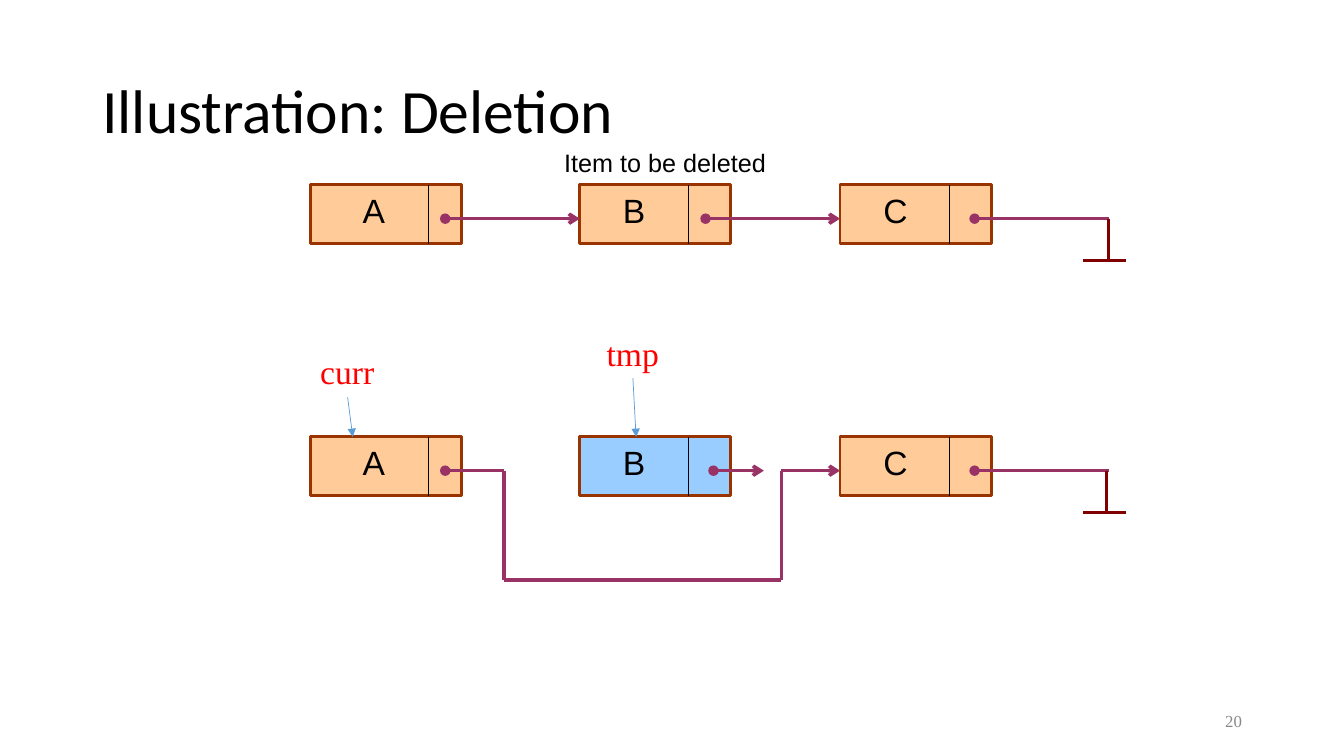
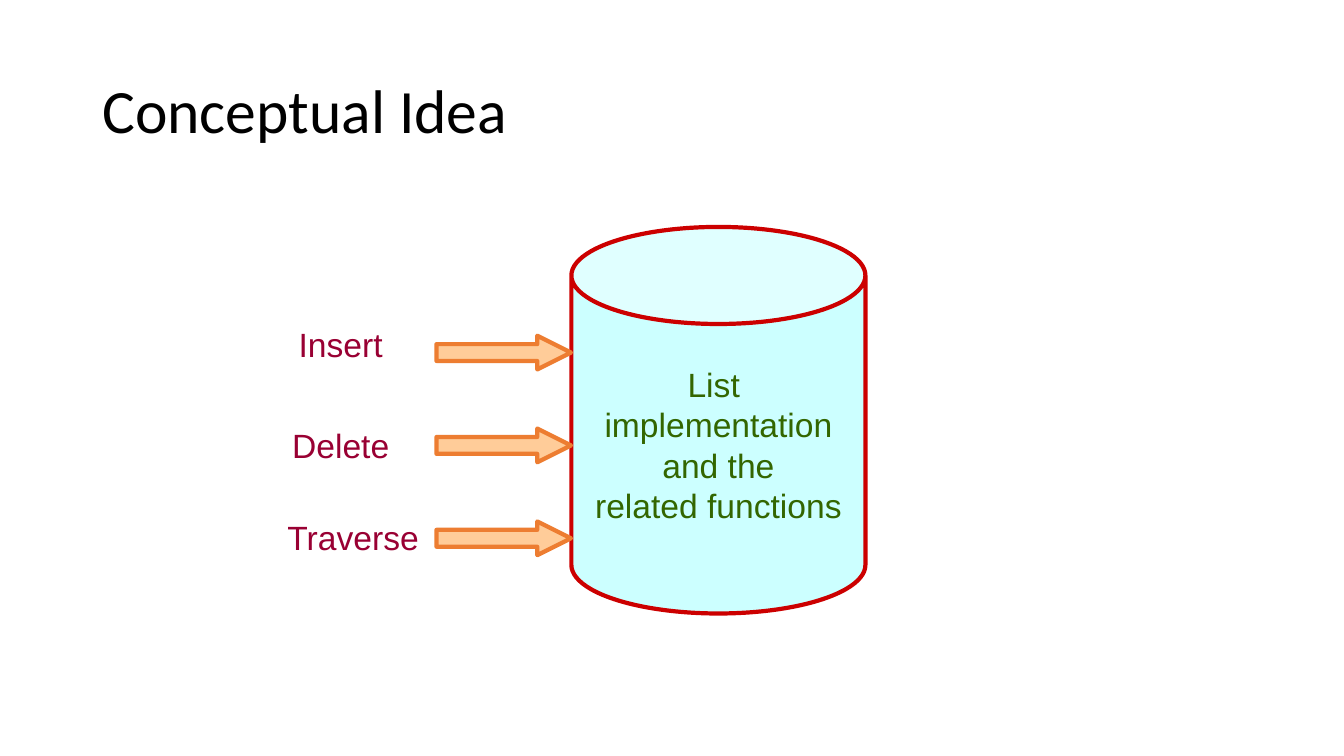
from dataclasses import dataclass
from itertools import pairwise

from pptx import Presentation
from pptx.dml.color import RGBColor
from pptx.enum.shapes import MSO_CONNECTOR, MSO_SHAPE
from pptx.enum.text import MSO_ANCHOR, PP_ALIGN
from pptx.oxml.ns import qn
from pptx.util import Cm, Pt
from lxml.etree import SubElement


@dataclass(frozen=True)
class Theme:
    """Text styles are (font, points, colour); line styles are (colour, points)."""
    title: tuple = ("Calibri", 44, "000000")
    number: tuple = ("Times New Roman", 12, "898989")
    item: tuple = ("Arial", 24, "000000")
    caption: tuple = ("Arial", 18, "000000")
    pointer_name: tuple = ("Times New Roman", 24, "FF0000")
    operation: tuple = ("Arial", 24, "990033")
    store: tuple = ("Arial", 24, "336600")
    orange: str = "FFCC99"
    blue: str = "99CCFF"
    cyan: str = "CCFFFF"
    node_line: tuple = ("993300", 2)
    divider_line: tuple = ("000000", 0.75)
    link_line: tuple = ("993366", 2.5)
    ground_line: tuple = ("800000", 2.5)
    pointer_line: tuple = ("5B9BD5", 0.5)
    store_line: tuple = ("CC0000", 3)
    arrow_line: tuple = ("ED7D31", 3)


theme = Theme()


def write_text(shape, lines, style, align=PP_ALIGN.LEFT, anchor=MSO_ANCHOR.TOP, wrap=True):
    """Fill a shape with one paragraph per line and return its text frame."""
    font_name, points, colour = style
    frame = shape.text_frame
    frame.word_wrap = wrap
    frame.vertical_anchor = anchor
    for index, line in enumerate(lines):
        paragraph = frame.add_paragraph() if index else frame.paragraphs[0]
        paragraph.alignment = align
        run = paragraph.add_run()
        run.text = line
        run.font.name = font_name
        run.font.size = Pt(points)
        run.font.color.rgb = RGBColor.from_string(colour)
    return frame


def add_line(slide, start, end, style, head=None, tail=None):
    """Draw a straight line between two points in centimetres."""
    colour, points = style
    connector = slide.shapes.add_connector(
        MSO_CONNECTOR.STRAIGHT, *[Cm(value) for value in (*start, *end)])
    connector.line.color.rgb = RGBColor.from_string(colour)
    connector.line.width = Pt(points)
    properties = connector._element.spPr
    outline = properties.find(qn("a:ln"))
    for tag, kind in (("a:headEnd", head), ("a:tailEnd", tail)):
        if kind:
            SubElement(outline, qn(tag), type=kind)
    SubElement(properties, qn("a:effectLst"))


presentation = Presentation()
presentation.slide_width = Cm(33.87)
presentation.slide_height = Cm(19.05)
blank_layout = presentation.slide_layouts[6]

# Titles
slides = []
for title in ("Illustration: Deletion", "Conceptual Idea"):
    slide = presentation.slides.add_slide(blank_layout)
    title_box = slide.shapes.add_textbox(Cm(2.33), Cm(1.02), Cm(29.21), Cm(3.68))
    frame = write_text(title_box, [title], theme.title, anchor=MSO_ANCHOR.MIDDLE)
    frame.paragraphs[0].line_spacing = 0.9
    slides.append(slide)
deletion_slide, idea_slide = slides
filled_shapes = []

# Linked list before and after the deletion
number_box = deletion_slide.shapes.add_textbox(Cm(23.93), Cm(17.65), Cm(7.62), Cm(1.02))
write_text(number_box, ["20"], theme.number, PP_ALIGN.RIGHT, MSO_ANCHOR.MIDDLE)

node_lefts = (7.82, 14.61, 21.17)
node_width, node_height = 3.81, 1.48
node_step = 6.56
link_drop, ground_drop = 0.85, 1.9
top_before, top_after = 4.66, 11.01
dot_a, dot_b, dot_c = 11.22, 17.78, 24.56

for top, fill_b, ground_x in ((top_before, theme.orange, 27.94),
                              (top_after, theme.blue, 27.89)):
    fills = (theme.orange, fill_b, theme.orange)
    for index, (letter, left, fill) in enumerate(zip("ABC", node_lefts, fills)):
        node = deletion_slide.shapes.add_shape(
            MSO_SHAPE.RECTANGLE, Cm(left), Cm(top), Cm(node_width), Cm(node_height))
        filled_shapes.append((node, fill, theme.node_line))
        divider_x = 10.8 + index * node_step
        add_line(deletion_slide, (divider_x, top), (divider_x, top + node_height),
                 theme.divider_line)
        letter_box = deletion_slide.shapes.add_textbox(
            Cm(8.89 + index * node_step), Cm(top), Cm(1.7), Cm(1.27))
        write_text(letter_box, [letter], theme.item)
    link_y, ground_y = top + link_drop, top + ground_drop
    add_line(deletion_slide, (dot_c, link_y), (27.94, link_y), theme.link_line, head="oval")
    add_line(deletion_slide, (ground_x, link_y), (ground_x, ground_y), theme.ground_line)
    add_line(deletion_slide, (27.3, ground_y), (28.38, ground_y), theme.ground_line)

link_before, link_after = top_before + link_drop, top_after + link_drop
for start_x, end_x, y in ((dot_a, node_lefts[1], link_before),
                          (dot_b, node_lefts[2], link_before),
                          (17.98, 19.25, link_after)):
    add_line(deletion_slide, (start_x, y), (end_x, y), theme.link_line, "oval", "arrow")

bypass = [(dot_a, link_after), (12.7, link_after), (12.7, 14.61),
          (19.69, 14.61), (19.69, link_after), (node_lefts[2], link_after)]
for start, end in pairwise(bypass):
    add_line(deletion_slide, start, end, theme.link_line,
             head="oval" if start == bypass[0] else None,
             tail="arrow" if end == bypass[-1] else None)

caption_box = deletion_slide.shapes.add_textbox(Cm(13.97), Cm(3.6), Cm(6.99), Cm(1.02))
write_text(caption_box, ["Item to be deleted"], theme.caption)

for name, left, top, start, end_x in (("curr", 7.82, 8.72, (8.76, 10.01), 8.89),
                                      ("tmp", 15.04, 8.26, (15.95, 9.53), 16.03)):
    name_box = deletion_slide.shapes.add_textbox(Cm(left), Cm(top), Cm(1.87), Cm(1.27))
    write_text(name_box, [name], theme.pointer_name, wrap=False)
    add_line(deletion_slide, start, (end_x, top_after), theme.pointer_line, tail="triangle")

# Operations leading into the list store
store = idea_slide.shapes.add_shape(MSO_SHAPE.CAN, Cm(14.4), Cm(5.72), Cm(7.41), Cm(9.74))
store.adjustments[0] = 0.33
write_text(store, ["List ", "implementation", "and the", "related functions"],
           theme.store, PP_ALIGN.CENTER, MSO_ANCHOR.MIDDLE, wrap=False)
filled_shapes.append((store, theme.cyan, theme.store_line))

operations = (("Insert", 8.05, 3.61), ("Delete", 10.59, 3.61), ("Traverse", 12.9, 4.24))
for index, (operation, top, width) in enumerate(operations):
    arrow = idea_slide.shapes.add_shape(
        MSO_SHAPE.RIGHT_ARROW, Cm(11), Cm(8.46 + index * 2.34), Cm(3.39), Cm(0.85))
    arrow.adjustments[0] = 0.5
    arrow.adjustments[1] = 1
    filled_shapes.append((arrow, theme.orange, theme.arrow_line))
    operation_box = idea_slide.shapes.add_textbox(Cm(6.78), Cm(top), Cm(width), Cm(1.27))
    write_text(operation_box, [operation], theme.operation, PP_ALIGN.CENTER)

# Fill and outline of every drawn shape
for shape, fill, (line_colour, line_points) in filled_shapes:
    shape.shadow.inherit = False
    shape.fill.solid()
    shape.fill.fore_color.rgb = RGBColor.from_string(fill)
    shape.line.color.rgb = RGBColor.from_string(line_colour)
    shape.line.width = Pt(line_points)

presentation.save("out.pptx")
